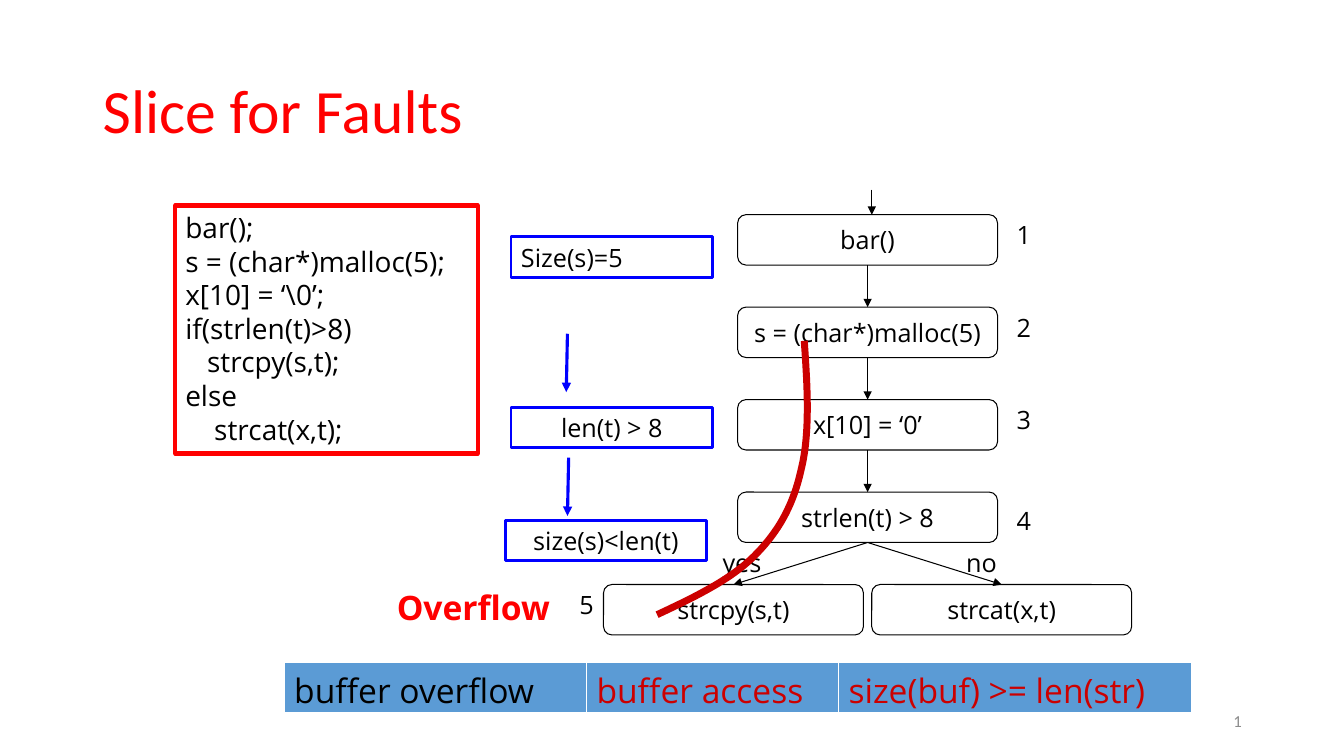
"""Build the slide that traces a buffer overflow through a program slice."""
from dataclasses import dataclass
from typing import Any, Optional

from lxml import etree
from pptx import Presentation
from pptx.dml.color import RGBColor
from pptx.enum.shapes import MSO_CONNECTOR, MSO_SHAPE
from pptx.enum.text import MSO_ANCHOR, PP_ALIGN
from pptx.oxml.ns import qn
from pptx.util import Cm, Pt

RECT, ROUNDED = MSO_SHAPE.RECTANGLE, MSO_SHAPE.ROUNDED_RECTANGLE
STRAIGHT = MSO_CONNECTOR.STRAIGHT
LEFT, CENTER, RIGHT = PP_ALIGN.LEFT, PP_ALIGN.CENTER, PP_ALIGN.RIGHT
TOP, MIDDLE = MSO_ANCHOR.TOP, MSO_ANCHOR.MIDDLE
TOP_SITE, BOTTOM_SITE = 0, 2

Point = tuple[float, float]


@dataclass(frozen=True)
class Theme:
    """Colours, fonts and type sizes of the slide."""
    black: str = "000000"
    white: str = "FFFFFF"
    red: str = "FF0000"
    dark_red: str = "CC0000"
    blue: str = "0000FF"
    table_blue: str = "5B9BD5"
    grey: str = "8C8C8C"
    heading_font: str = "Calibri"
    body_font: str = "Open Sans"
    title_size: int = 44
    large_size: int = 24
    code_size: int = 20
    body_size: int = 18
    number_size: int = 12


THEME = Theme()


@dataclass(frozen=True)
class Box:
    """A text block with its place in centimetres and its look."""
    text: str
    left: float
    top: float
    width: float
    height: float
    kind: Any = None
    fill: Optional[str] = None
    line: Optional[str] = None
    weight: float = 0.75
    align: Any = LEFT
    anchor: Any = TOP
    wrap: bool = True
    size: int = THEME.body_size
    font: str = THEME.body_font
    color: str = THEME.black
    bold: bool = False
    spacing: float = 1.0
    indents: tuple[float, ...] = ()


def apply(target: Any, values: dict[str, Any]) -> None:
    """Set each named value on the target."""
    for name, value in values.items():
        setattr(target, name, value)


def style_font(font: Any, size: int, name: str, color: str, bold: bool = False) -> None:
    """Give a font its face, size, weight and colour."""
    apply(font, {"size": Pt(size), "name": name, "bold": bold})
    font.color.rgb = RGBColor.from_string(color)


def style_line(line: Any, color: str, weight: float) -> None:
    """Give a line its colour and width in points."""
    line.width = Pt(weight)
    line.color.rgb = RGBColor.from_string(color)


def draw_box(slide: Any, box: Box) -> Any:
    """Draw a text box or a preset shape with its text."""
    place = [Cm(v) for v in (box.left, box.top, box.width, box.height)]
    if box.kind is None:
        block = slide.shapes.add_textbox(*place)
    else:
        block = slide.shapes.add_shape(box.kind, *place)
        block.shadow.inherit = False
    if box.fill:
        block.fill.solid()
        block.fill.fore_color.rgb = RGBColor.from_string(box.fill)
    else:
        block.fill.background()
    if box.line:
        style_line(block.line, box.line, box.weight)
    else:
        block.line.fill.background()
    frame = block.text_frame
    apply(frame, {"text": box.text, "word_wrap": box.wrap, "vertical_anchor": box.anchor})
    for index, paragraph in enumerate(frame.paragraphs):
        apply(paragraph, {"alignment": box.align, "line_spacing": box.spacing})
        style_font(paragraph.runs[0].font, box.size, box.font, box.color, box.bold)
        if box.indents and box.indents[index]:
            paragraph._p.get_or_add_pPr().set("marL", str(Cm(box.indents[index])))
    return block


def draw_arrow(slide: Any, start: Point, end: Point,
               color: str = THEME.black, weight: float = 0.75) -> Any:
    """Draw a straight arrow that points at its end."""
    arrow = slide.shapes.add_connector(STRAIGHT, *(Cm(v) for v in start + end))
    style_line(arrow.line, color, weight)
    etree.SubElement(arrow.line._get_or_add_ln(), qn("a:tailEnd"), type="triangle")
    etree.SubElement(arrow._element.spPr, qn("a:effectLst"))
    return arrow


def link_steps(slide: Any, source: Any, target: Any) -> None:
    """Join the foot of one step to the head of the next."""
    arrow = draw_arrow(slide, (0, 0), (1, 1))
    arrow.begin_connect(source, BOTTOM_SITE)
    arrow.end_connect(target, TOP_SITE)


def bezier(anchors: tuple[Point, Point, Point, Point], steps: int = 24) -> list[Point]:
    """Return points along a cubic curve, without its first point."""
    points = []
    for step in range(1, steps + 1):
        t = step / steps
        weights = ((1 - t) ** 3, 3 * t * (1 - t) ** 2, 3 * t * t * (1 - t), t ** 3)
        points.append(tuple(sum(w * a[axis] for w, a in zip(weights, anchors))
                            for axis in (0, 1)))
    return points


def draw_fault_path(slide: Any, knots: list[Point]) -> None:
    """Draw the thick curve from the allocation to the faulty copy."""
    trail = [knots[0]]
    for first in range(0, len(knots) - 1, 3):
        trail += bezier(tuple(knots[first:first + 4]))
    points = [(Cm(x), Cm(y)) for x, y in trail]
    builder = slide.shapes.build_freeform(*points[0])
    builder.add_line_segments(points[1:], close=False)
    curve = builder.convert_to_shape()
    curve.shadow.inherit = False
    curve.fill.background()
    style_line(curve.line, THEME.dark_red, 5)


def draw_fault_table(slide: Any) -> None:
    """Draw the row naming the fault, its place and its condition."""
    columns = (("buffer overflow", 7.62, THEME.black), ("buffer access", 6.35, THEME.dark_red),
               ("size(buf) >= len(str)", 8.89, THEME.dark_red))
    total = sum(width for _, width, _ in columns)
    table = slide.shapes.add_table(1, len(columns), Cm(7.16), Cm(16.69), Cm(total), Cm(1.27)).table
    table.horz_banding = False
    for index, (text, width, color) in enumerate(columns):
        table.columns[index].width = Cm(width)
        cell = table.cell(0, index)
        cell.text = text
        cell.fill.solid()
        cell.fill.fore_color.rgb = RGBColor.from_string(THEME.table_blue)
        style_font(cell.text_frame.paragraphs[0].runs[0].font,
                   THEME.large_size, THEME.body_font, color)


def draw_flow(slide: Any) -> None:
    """Draw the control flow graph with its step numbers."""
    left, top, pitch, width, height, spread = 18.59, 5.41, 2.33, 6.55, 1.27, 3.38
    places = [("bar()", 0, 0), ("s = (char*)malloc(5)", 0, 1), ("x[10] = ‘0’", 0, 2),
              ("strlen(t) > 8", 0, 3), ("strcpy(s,t)", -spread, 4), ("strcat(x,t)", spread, 4)]
    steps = [draw_box(slide, Box(text, left + shift, top + row * pitch, width, height, ROUNDED,
                                 THEME.white, THEME.black, align=CENTER, anchor=MIDDLE, wrap=False))
             for text, shift, row in places]
    draw_arrow(slide, (21.97, 4.78), (21.97, top))
    for source, target in ((0, 1), (1, 2), (2, 3), (3, 4), (3, 5)):
        link_steps(slide, steps[source], steps[target])
    labels = [("1", 25.37, top), ("2", 25.37, top + pitch), ("3", 25.37, top + 2 * pitch),
              ("4", 25.37, 12.6), ("5", 14.35, top + 4 * pitch)]
    for text, x, y in labels:
        draw_box(slide, Box(text, x, y, 1.27, 1.02))
    for text, x in (("yes", 17.96), ("no", 24.1)):
        draw_box(slide, Box(text, x, 13.67, 1.9, 1.02))


def draw_conditions(slide: Any) -> None:
    """Draw the chain of conditions that leads to the overflow."""
    for text, x, y, align in (("Size(s)=5", 12.88, 5.97, LEFT), ("len(t) > 8", 12.88, 10.26, CENTER),
                              ("size(s)<len(t)", 12.73, 13.11, CENTER)):
        draw_box(slide, Box(text, x, y, 5.08, 1.02, RECT, line=THEME.blue, weight=2, align=align))
    for x, y in ((14.3, 8.41), (14.33, 11.53)):
        draw_arrow(slide, (x, y), (x - 0.03, y + 1.47), THEME.blue, 2.25)


def main() -> None:
    """Build and save the slide."""
    deck = Presentation()
    apply(deck, {"slide_width": Cm(33.87), "slide_height": Cm(19.05)})
    slide = deck.slides.add_slide(deck.slide_layouts[6])
    draw_box(slide, Box("Slice for Faults", 2.34, 1.02, 29.21, 3.68, anchor=MIDDLE, spacing=0.9,
                        size=THEME.title_size, font=THEME.heading_font, color=THEME.red))
    draw_box(slide, Box("Overflow", 9.75, 14.66, 5.18, 1.27, RECT, THEME.white,
                        size=THEME.large_size, color=THEME.red, bold=True))
    draw_flow(slide)
    draw_conditions(slide)
    draw_fault_path(slide, [(20.27, 8.59), (20.35, 9.75), (20.42, 10.92), (20.19, 11.84),
                            (19.99, 12.73), (19.63, 13.39), (19.02, 14.0),
                            (18.42, 14.61), (17.48, 15.06), (16.56, 15.49)])
    code = ("bar();\ns = (char*)malloc(5);\nx[10] = ‘\\0’;\nif(strlen(t)>8)\n"
            "strcpy(s,t);\nelse\nstrcat(x,t);")
    draw_box(slide, Box(code, 4.42, 5.18, 7.62, 6.25, RECT, THEME.white, THEME.red, 3,
                        size=THEME.code_size, indents=(0, 0, 0, 0, 0.55, 0, 0.73)))
    draw_fault_table(slide)
    draw_box(slide, Box("1", 23.93, 17.65, 7.62, 1.02, align=RIGHT, anchor=MIDDLE,
                        size=THEME.number_size, font=THEME.heading_font, color=THEME.grey))
    deck.save("out.pptx")


main()
